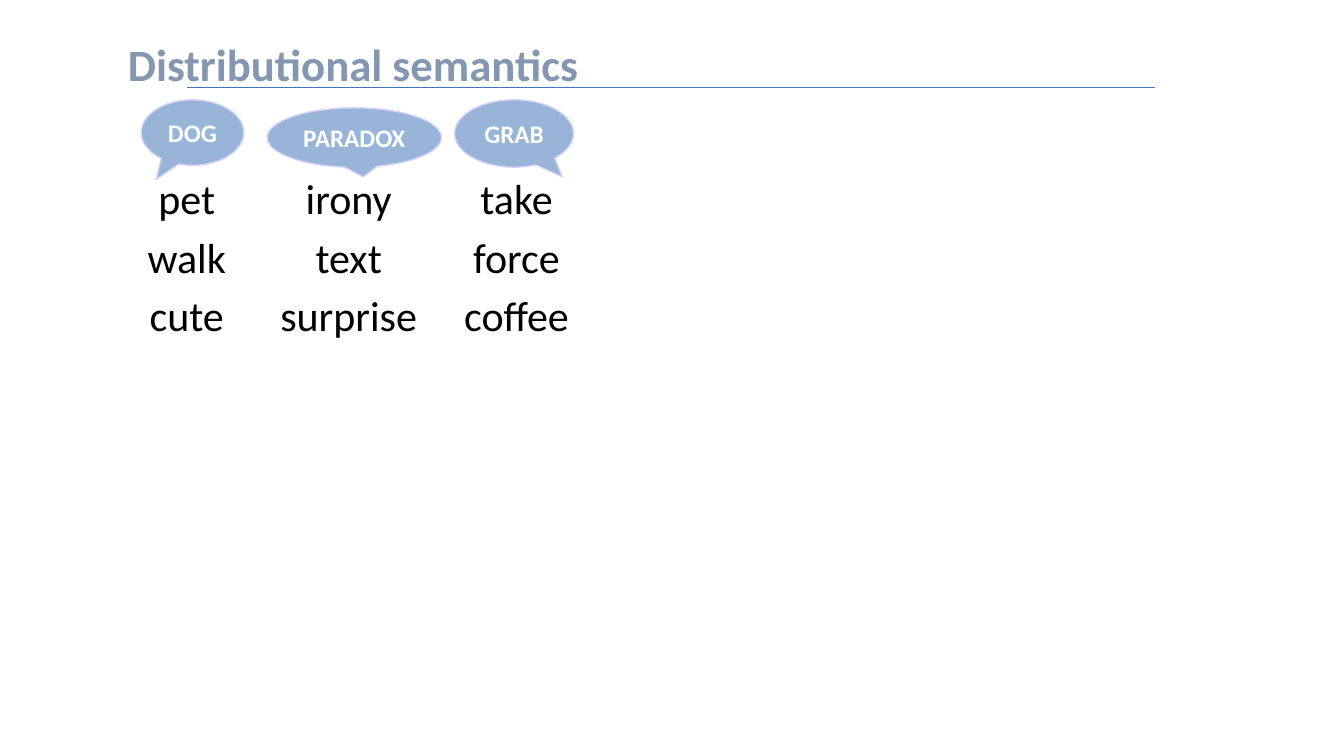
from dataclasses import dataclass

from lxml import etree
from pptx import Presentation
from pptx import util as u
from pptx.dml.color import RGBColor
from pptx.enum import shapes, text
from pptx.oxml import ns

FONT = "Calibri"
COLOURS = {
    "title": "8497B0",
    "rule": "4472C4",
    "bubble": "98B5D8",
    "outline": "D7D3F9",
    "label": "FFFFFF",
    "word": "000000",
}
WORDS_TOP, WORDS_WIDTH, WORDS_HEIGHT = 119.5, 116, 137


@dataclass
class Bubble:
    label: str
    left: float
    top: float
    width: float
    height: float
    tail: tuple[float, float]


@dataclass
class WordColumn:
    centre: float
    words: tuple[str, ...]


BUBBLES = [
    Bubble("DOG", 100.8, 71.3, 73.4, 46.8, (-0.356, 0.717)),
    Bubble("PARADOX", 190.8, 77, 124.6, 42.5, (0.051, 0.664)),
    Bubble("GRAB", 324.7, 71.3, 85, 48.2, (0.405, 0.643)),
]
WORD_COLUMNS = [
    WordColumn(133.4, ("pet", "walk", "cute")),
    WordColumn(249.1, ("irony", "text", "surprise")),
    WordColumn(369, ("take", "force", "coffee")),
]


def colour(name: str) -> RGBColor:
    return RGBColor.from_string(COLOURS[name])


def place(shape, left: float, top: float, width: float, height: float) -> None:
    shape.left, shape.top = u.Pt(left), u.Pt(top)
    shape.width, shape.height = u.Pt(width), u.Pt(height)


def format_paragraph(paragraph, size: float, name: str, bold: bool) -> None:
    paragraph.alignment = text.PP_ALIGN.CENTER
    for run in paragraph.runs:
        run.font.name = FONT
        run.font.size = u.Pt(size)
        run.font.bold = bold
        run.font.color.rgb = colour(name)


def fill_placeholder(placeholder, content: str):
    """Set the text, on unwrapped lines from the top; return the paragraphs."""
    frame = placeholder.text_frame
    frame.text = content
    frame.word_wrap = False
    frame.auto_size = text.MSO_AUTO_SIZE.NONE
    frame.vertical_anchor = text.MSO_ANCHOR.TOP
    return frame.paragraphs


def remove_bullet(paragraph) -> None:
    properties = paragraph._p.get_or_add_pPr()
    properties.set("marL", "0")
    properties.set("indent", "0")
    etree.SubElement(properties, ns.qn("a:buNone"))


def add_title(slide) -> None:
    title = slide.shapes.title
    place(title, 82.8, 22.3, 339.1, 46.1)
    for paragraph in fill_placeholder(title, "Distributional semantics"):
        format_paragraph(paragraph, 32, "title", True)


def add_words(placeholder, column: WordColumn) -> None:
    left = column.centre - WORDS_WIDTH / 2
    place(placeholder, left, WORDS_TOP, WORDS_WIDTH, WORDS_HEIGHT)
    for index, paragraph in enumerate(fill_placeholder(placeholder, "\n".join(column.words))):
        remove_bullet(paragraph)
        paragraph.space_before = u.Pt(6 if index else 0)
        format_paragraph(paragraph, 30, "word", False)


def add_bubble(slide, bubble: Bubble) -> None:
    shape = slide.shapes.add_shape(
        shapes.MSO_SHAPE.OVAL_CALLOUT,
        u.Pt(bubble.left), u.Pt(bubble.top), u.Pt(bubble.width), u.Pt(bubble.height),
    )
    shape.adjustments[0], shape.adjustments[1] = bubble.tail
    shape.shadow.inherit = False
    shape.fill.solid()
    shape.fill.fore_color.rgb = colour("bubble")
    shape.line.color.rgb = colour("outline")
    shape.line.width = u.Pt(1)
    frame = shape.text_frame
    frame.text = bubble.label
    frame.word_wrap = False
    frame.vertical_anchor = text.MSO_ANCHOR.MIDDLE
    format_paragraph(frame.paragraphs[0], 18, "label", True)


def add_rule(slide) -> None:
    rule = slide.shapes.add_connector(
        shapes.MSO_CONNECTOR.STRAIGHT, u.Pt(825.1), u.Pt(62.6), u.Pt(133.9), u.Pt(62.6)
    )
    rule.line.color.rgb = colour("rule")
    rule.line.width = u.Pt(0.5)
    etree.SubElement(rule._element.spPr, ns.qn("a:effectLst"))


def main() -> None:
    presentation = Presentation()
    presentation.slide_width, presentation.slide_height = u.Pt(960), u.Pt(540)
    comparison_layout = presentation.slide_layouts[4]
    slide = presentation.slides.add_slide(comparison_layout)

    # Heading and the line under it
    add_title(slide)
    add_rule(slide)

    # Speech bubbles above their related words
    for bubble in BUBBLES:
        add_bubble(slide, bubble)
    for index, column in enumerate(WORD_COLUMNS, start=1):
        add_words(slide.placeholders[index], column)

    # The layout has one body more than there are columns
    spare = slide.placeholders[4]._element
    spare.getparent().remove(spare)

    presentation.save("out.pptx")


if __name__ == "__main__":
    main()
